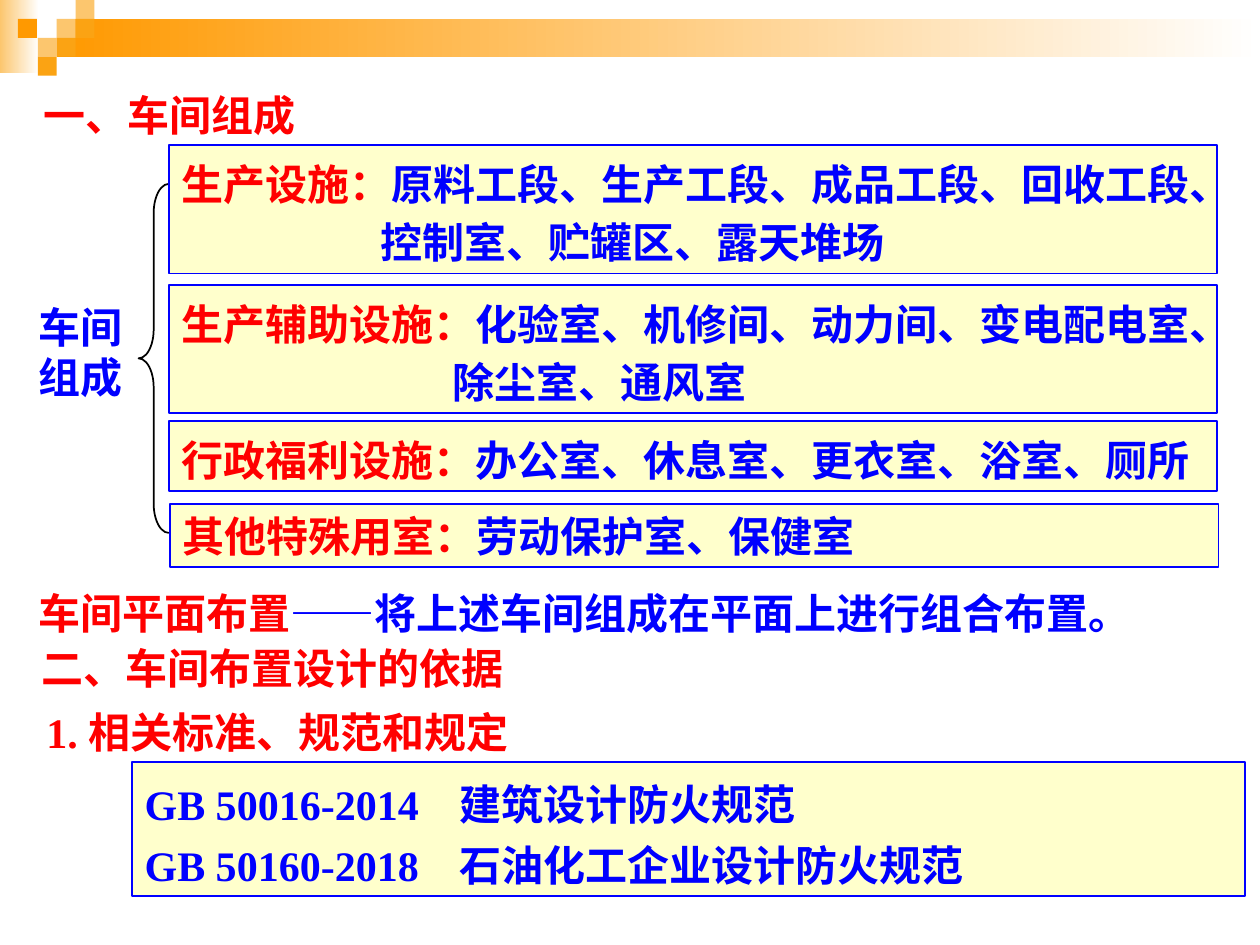
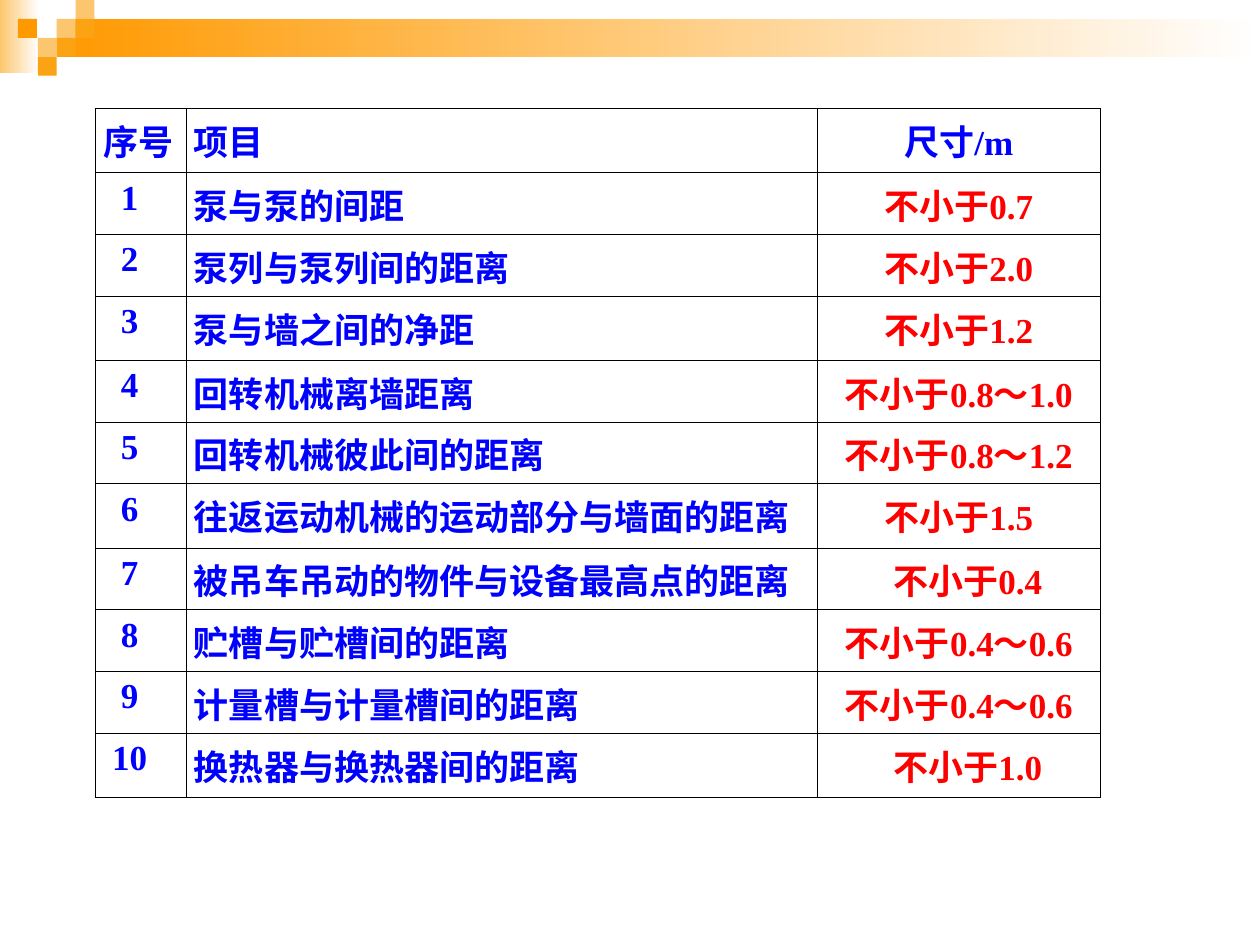
import pptx
import pptx.util
import pptx.dml.color
import pptx.enum.lang
import pptx.enum.shapes
import pptx.enum.text
import pptx.oxml
import pptx.oxml.ns

RED, BLUE, BLACK, WHITE = "FF0000", "0000FF", "000000", "FFFFFF"
CREAM, PALE, AMBER, ORANGE = "FFFFCC", "FCC66E", "FBA313", "FF9900"
SHAPE = pptx.enum.shapes.MSO_SHAPE
ALIGN = pptx.enum.text.PP_ALIGN
COLUMNS, ROWS = 100, 75
SQUARE = 1.5  # side of a corner square, in grid units


def rgb(value):
    return pptx.dml.color.RGBColor.from_string(value)


def apply(obj, formats):
    for name, value in formats.items():
        setattr(obj, name, value)


class Deck:
    """Shared style and the current slide; lengths are grid units."""

    font = {"name": "Times New Roman", "bold": True,
            "language_id": pptx.enum.lang.MSO_LANGUAGE_ID.SIMPLIFIED_CHINESE}

    def __init__(self):
        self.prs = pptx.Presentation()
        self.prs.slide_width = pptx.util.Inches(10)
        self.prs.slide_height = pptx.util.Inches(7.5)
        self.slide = None

    def x(self, columns):
        return round(self.prs.slide_width * columns / COLUMNS)

    def y(self, rows):
        return round(self.prs.slide_height * rows / ROWS)

    def box(self, left, top, width, height):
        return self.x(left), self.y(top), self.x(width), self.y(height)

    def new_slide(self):
        self.slide = self.prs.slides.add_slide(self.prs.slide_layouts[6])
        # Fading bands
        self.shape((0, 0, 3.1, 5.8), fade=PALE)
        self.shape((4.5, SQUARE, 95.5, 3), fade=ORANGE)
        # Corner squares by column and row
        for column, row, color in ((3, 1, PALE), (4, 0, PALE), (4, 1, AMBER),
                                   (2, 2, PALE), (0.95, 1, ORANGE),
                                   (3, 2, AMBER), (2, 3, AMBER)):
            self.shape((column * SQUARE, row * SQUARE, SQUARE, SQUARE), fill=color)

    def shape(self, place, kind=SHAPE.RECTANGLE, fill=None, fade=None, line=None):
        sp = self.slide.shapes.add_shape(kind, *self.box(*place))
        sp.shadow.inherit = False
        if fade:
            sp.fill.gradient()
            sp.fill.gradient_angle = 0
            for stop, color in zip(sp.fill.gradient_stops, (fade, WHITE)):
                stop.color.rgb = rgb(color)
        elif fill:
            sp.fill.solid()
            sp.fill.fore_color.rgb = rgb(fill)
        else:
            sp.fill.background()
        if line:
            sp.line.color.rgb = rgb(line)
            sp.line.width = pptx.util.Pt(1)
        else:
            sp.line.fill.background()
        return sp

    def paragraph(self, p, runs, size=24, align=ALIGN.LEFT, margin=0, hang=0,
                  spacing=None, tab=None):
        apply(p, {"alignment": align, "line_spacing": spacing})
        pPr = p._p.get_or_add_pPr()
        pPr.set("marL", str(self.x(margin + hang)))
        pPr.set("indent", str(-self.x(hang)))
        if tab:
            pPr.append(pptx.oxml.parse_xml(
                f'<a:tabLst {pptx.oxml.ns.nsdecls("a")}>'
                f'<a:tab pos="{self.x(tab)}" algn="l"/></a:tabLst>'))
        for text, color in runs:
            r = p.add_run()
            r.text = text
            apply(r.font, {**self.font, "size": pptx.util.Pt(size)})
            r.font.color.rgb = rgb(color)

    def fill_frame(self, sp, paragraphs, **formats):
        tf = sp.text_frame
        apply(tf, {"word_wrap": True,
                   "vertical_anchor": pptx.enum.text.MSO_ANCHOR.TOP})
        for i, runs in enumerate(paragraphs):
            p = tf.add_paragraph() if i else tf.paragraphs[0]
            self.paragraph(p, runs, **formats)

    def text(self, place, *runs):
        self.fill_frame(self.slide.shapes.add_textbox(*self.box(*place)), [runs])

    def panel(self, place, *paragraphs, **formats):
        sp = self.shape(place, fill=CREAM, line=BLUE)
        self.fill_frame(sp, paragraphs, **formats)

    def brace(self, place, curve):
        sp = self.shape(place, SHAPE.LEFT_BRACE, line=BLACK)
        sp.adjustments[0] = curve

    def border(self, cell):
        tcPr = cell._tc.get_or_add_tcPr()
        for i, side in enumerate(("lnL", "lnR", "lnT", "lnB")):
            tcPr.insert(i, pptx.oxml.parse_xml(
                f'<a:{side} {pptx.oxml.ns.nsdecls("a")} w="{pptx.util.Pt(0.45)}">'
                f'<a:solidFill><a:srgbClr val="{BLACK}"/></a:solidFill></a:{side}>'))

    def table(self, left, top, widths, heights, rows, cell_format):
        frame = self.slide.shapes.add_table(
            len(rows), len(widths), *self.box(left, top, sum(widths), sum(heights)))
        table = frame.table
        apply(table, {"first_row": False, "horz_banding": False})
        for column, width in zip(table.columns, widths):
            column.width = self.x(width)
        for row, height in zip(table.rows, heights):
            row.height = self.y(height)
        for i, row in enumerate(rows):
            for j, text in enumerate(row):
                cell = table.cell(i, j)
                cell.fill.background()
                apply(cell, {"margin_left": self.x(0.6), "margin_right": self.x(0.6),
                             "margin_top": self.y(0.5), "margin_bottom": self.y(0.5)})
                self.border(cell)
                color, formats = cell_format(i, j, text)
                self.paragraph(cell.text_frame.paragraphs[0], [(text, color)],
                               size=20, **formats)


def composition_slide(deck):
    deck.new_slide()
    deck.text((2.5, 6.6, 22.7, 5), ("一、车间组成", RED))

    # Workshop parts joined by a brace
    deck.text((2.1, 23.4, 9.5, 9), ("车间组成", BLUE))
    deck.brace((11, 14.6, 2.4, 27.7), 0.96)
    parts = (
        (13.4, 11.5, 10.2, "生产设施：",
         "原料工段、生产工段、成品工段、回收工段、控制室、贮罐区、露天堆场",
         {"hang": 15.8, "spacing": 1.15}),
        (13.4, 22.6, 10.2, "生产辅助设施：",
         "化验室、机修间、动力间、变电配电室、除尘室、通风室",
         {"hang": 21.5, "spacing": 1.15}),
        (13.4, 33.4, 5.6, "行政福利设施：",
         "办公室、休息室、更衣室、浴室、厕所", {"spacing": 1.15}),
        (13.5, 40, 5, "其他特殊用室：", "劳动保护室、保健室", {}),
    )
    for left, top, height, name, rooms, formats in parts:
        deck.panel((left, top, 83.2, height), [(name, RED), (rooms, BLUE)], **formats)

    # Layout definition and design basis
    deck.text((2.1, 46.1, 93.6, 5), ("车间平面布置", RED),
              ("——将上述车间组成在平面上进行组合布置。", BLUE))
    deck.text((2.3, 50.5, 50.4, 5), ("二、车间布置设计的依据", RED))
    deck.text((2.7, 55.6, 94.5, 5), ("1. 相关标准、规范和规定", RED))
    deck.panel((10.5, 60.5, 88.3, 10.6),
               [("GB 50016-2014\t建筑设计防火规范", BLUE)],
               [("GB 50160-2018\t石油化工企业设计防火规范", BLUE)],
               spacing=1.2, tab=26.7)


def distance_slide(deck):
    deck.new_slide()
    items = (
        ("泵与泵的间距", "0.7"),
        ("泵列与泵列间的距离", "2.0"),
        ("泵与墙之间的净距", "1.2"),
        ("回转机械离墙距离", "0.8～1.0"),
        ("回转机械彼此间的距离", "0.8～1.2"),
        ("往返运动机械的运动部分与墙面的距离", "1.5"),
        ("被吊车吊动的物件与设备最高点的距离", "0.4"),
        ("贮槽与贮槽间的距离", "0.4～0.6"),
        ("计量槽与计量槽间的距离", "0.4～0.6"),
        ("换热器与换热器间的距离", "1.0"),
    )
    rows = [("序号", "项目", "尺寸/m")]
    rows += [(str(n), item, "不小于" + size) for n, (item, size) in enumerate(items, 1)]
    tall_rows, shifted_rows = (0, 3, 6, 10), (7, 10)
    heights = [5.1 if i in tall_rows else 4.9 for i in range(len(rows))]

    def cell_format(i, j, text):
        if j == 2:
            return (RED if i else BLUE,
                    {"align": ALIGN.CENTER, "margin": 1.4 if i in shifted_rows else 0})
        if j == 0 and i:
            return BLUE, {"margin": 1.4 / len(text)}
        return BLUE, {}

    deck.table(7.6, 8.6, (7.2, 50.1, 22.4), heights, rows, cell_format)


def main():
    deck = Deck()
    composition_slide(deck)
    distance_slide(deck)
    deck.prs.save("out.pptx")


if __name__ == "__main__":
    main()
